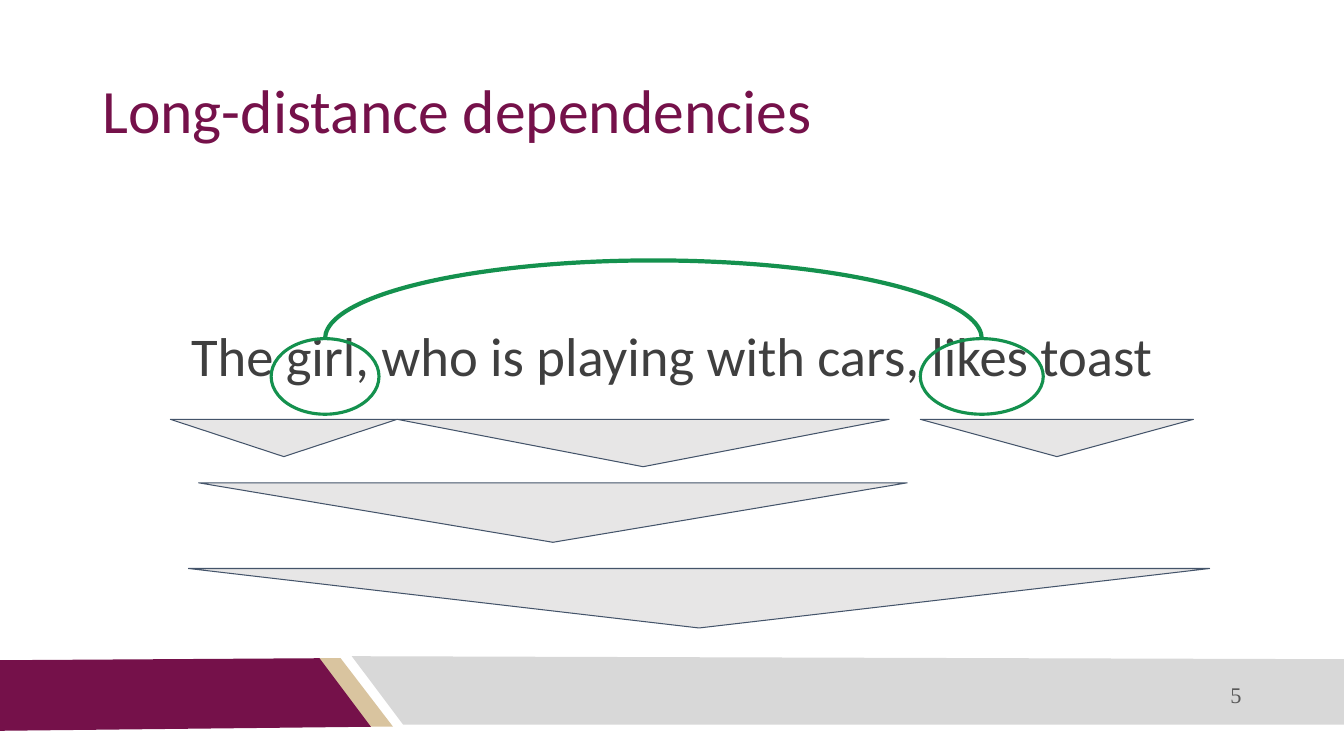
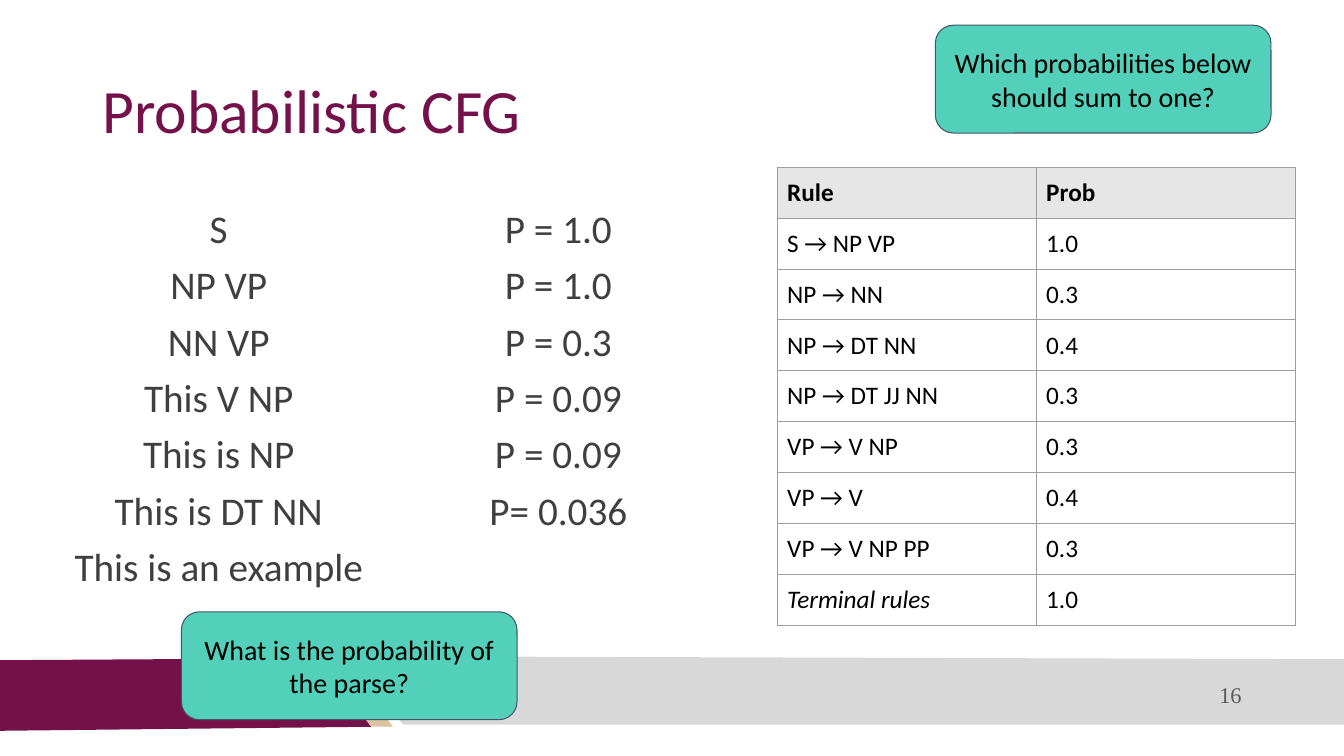
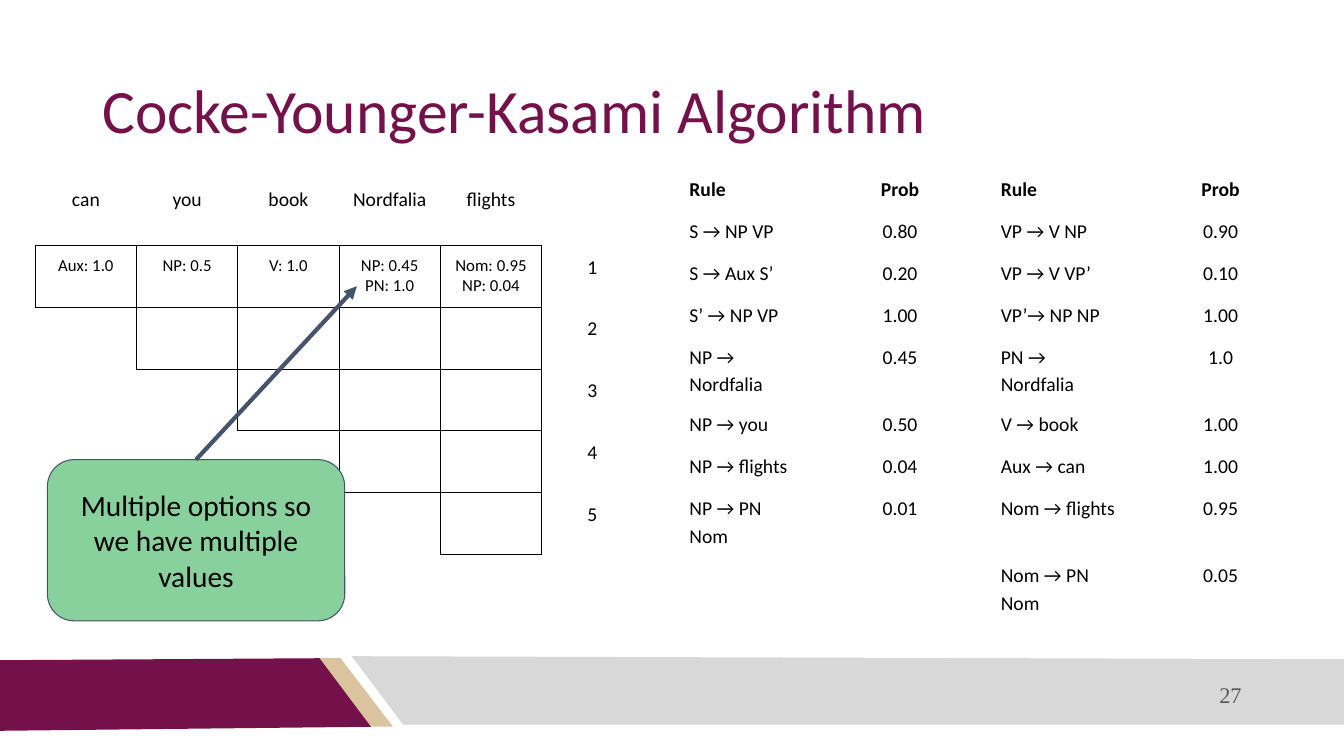
from lxml import etree
from pptx import Presentation
from pptx.dml.color import RGBColor
from pptx.enum.shapes import MSO_CONNECTOR, MSO_SHAPE
from pptx.enum.text import MSO_ANCHOR, PP_ALIGN
from pptx.oxml.ns import qn
from pptx.util import Inches, Pt

LEFT, CENTER, RIGHT = PP_ALIGN.LEFT, PP_ALIGN.CENTER, PP_ALIGN.RIGHT
TOP, MIDDLE = MSO_ANCHOR.TOP, MSO_ANCHOR.MIDDLE
OVAL, ARC = MSO_SHAPE.OVAL, MSO_SHAPE.ARC
TRIANGLE, ROUNDED = MSO_SHAPE.ISOSCELES_TRIANGLE, MSO_SHAPE.ROUNDED_RECTANGLE
STRAIGHT = MSO_CONNECTOR.STRAIGHT

# Grid of square cells: 80 columns by 45 rows
COLS, ROWS = 80, 45
CELL = Inches(1) / 6
INSET = 0.6
NO_STYLE = "{2D5ABB26-0587-4C30-8999-92F81FD0307C}"
SIDES = {"lnL": (0, -1), "lnR": (0, 1), "lnT": (-1, 0), "lnB": (1, 0)}

# Colours
PLUM, SAND, SILVER = "75114A", "D9C49F", "D8D8D8"
BLACK, INK, MUTED = "000000", "3F3F3F", "595959"
SLATE, PALE, RULE = "44546A", "E7E6E6", "9E9E9E"
GREEN, TEAL, MINT = "14914E", "52D0B9", "88D19D"

# Slanted bands at the foot of every slide
BANDS = [
    (SAND, [(18.96, 39.18), (20.28, 39.18), (23.4, 43.26), (22.02, 43.26)]),
    (PLUM, [(0, 39.3), (19.02, 39.18), (22.08, 43.26), (0, 43.5)]),
    (SILVER, [(20.94, 39.06), (COLS, 39.24), (COLS, 43.14), (24, 43.14)]),
]


def rgb(color):
    return RGBColor.from_string(color)


def u(cells):
    """Length of a number of grid cells."""
    return round(cells * CELL)


def write(tf, text, size=18, color=BLACK, font="Calibri", bold=False,
          italic=False, align=LEFT, leading=1.0, before=0):
    """Fill a text frame, one paragraph for each line of text."""
    for i, line in enumerate(text.split("\n")):
        p = tf.add_paragraph() if i else tf.paragraphs[0]
        p.alignment, p.line_spacing = align, leading
        p.space_before = Pt(before if i else 0)
        r = p.add_run()
        r.text = line
        r.font.size, r.font.name = Pt(size), font
        r.font.bold, r.font.italic = bold, italic
        r.font.color.rgb = rgb(color)


def set_margins(target, margins):
    (target.margin_left, target.margin_top,
     target.margin_right, target.margin_bottom) = map(u, margins)


class Deck:
    def __init__(self):
        self.prs = Presentation()
        self.prs.slide_width, self.prs.slide_height = u(COLS), u(ROWS)
        self.s = None

    def slide(self, title, number):
        self.s = self.prs.slides.add_slide(self.prs.slide_layouts[6])
        for color, points in BANDS:
            self.band(color, points)
        self.text(title, 5.5, 2.4, 69, 8.7, anchor=MIDDLE,
                  size=44, color=PLUM, leading=0.9)
        self.text(str(number), 47.5, 40.15, 27, 2.4, anchor=MIDDLE, size=16,
                  color=MUTED, font="Times New Roman", align=RIGHT)

    def band(self, color, points):
        # Freeform points are whole numbers, so they are given in EMU
        corners = [(u(x), u(y)) for x, y in points]
        fb = self.s.shapes.build_freeform(*corners[0])
        fb.add_line_segments(corners[1:], close=True)
        self.paint(fb.convert_to_shape(), color)

    def paint(self, sp, fill=None, line=None, width=0.75):
        sp.shadow.inherit = False
        if fill:
            sp.fill.solid()
            sp.fill.fore_color.rgb = rgb(fill)
        else:
            sp.fill.background()
        if line:
            sp.line.color.rgb = rgb(line)
            sp.line.width = Pt(width)
        else:
            sp.line.fill.background()

    def frame(self, sp, text, anchor, **fmt):
        tf = sp.text_frame
        tf.word_wrap, tf.vertical_anchor = True, anchor
        set_margins(tf, [INSET] * 4)
        write(tf, text, **fmt)

    def text(self, text, x, y, w, h, anchor=TOP, **fmt):
        sp = self.s.shapes.add_textbox(u(x), u(y), u(w), u(h))
        self.frame(sp, text, anchor, **fmt)

    def body(self, text, x, y, w, h, size):
        self.text(text, x, y, w, h, size=size, color=INK, align=CENTER,
                  leading=0.9, before=10)

    def shape(self, kind, x, y, w, h, **style):
        sp = self.s.shapes.add_shape(kind, u(x), u(y), u(w), u(h))
        self.paint(sp, **style)
        return sp

    def callout(self, text, x, y, w, h, fill, size):
        sp = self.shape(ROUNDED, x, y, w, h, fill=fill, line=SLATE)
        self.frame(sp, text, MIDDLE, size=size, align=CENTER)
        return sp

    def arrow_from_top(self, sp, x, y):
        cx = self.s.shapes.add_connector(STRAIGHT, 0, 0, u(x), u(y))
        cx.begin_connect(sp, 0)
        cx.line.color.rgb, cx.line.width = rgb(SLATE), Pt(3)
        etree.SubElement(cx.line._get_or_add_ln(), qn("a:tailEnd"),
                         type="triangle")
        etree.SubElement(cx._element.spPr, qn("a:effectLst"))

    def table(self, data, x, y, widths, heights, fmt, lined,
              line=BLACK, head=None, margins=(INSET,) * 4):
        """fmt(r, c) gives the text format, lined(r, c) says if a cell is boxed."""
        gf = self.s.shapes.add_table(len(data), len(widths), u(x), u(y),
                                     u(sum(widths)), u(sum(heights)))
        tbl = gf.table
        tbl._tbl.tblPr.find(qn("a:tableStyleId")).text = NO_STYLE
        for col, w in zip(tbl.columns, widths):
            col.width = u(w)
        for r, (row, h) in enumerate(zip(data, heights)):
            tbl.rows[r].height = u(h)
            for c, text in enumerate(row):
                cell = tbl.cell(r, c)
                set_margins(cell, margins)
                for side, (dr, dc) in SIDES.items():
                    shown = lined(r, c) or lined(r + dr, c + dc)
                    self.border(cell, side, line if shown else None)
                if head and r == 0:
                    cell.fill.solid()
                    cell.fill.fore_color.rgb = rgb(head)
                else:
                    cell.fill.background()
                if text:
                    write(cell.text_frame, text, **fmt(r, c))

    def border(self, cell, side, color):
        ln = etree.SubElement(cell._tc.get_or_add_tcPr(), qn("a:" + side),
                              w=str(Pt(0.75)))
        if color:
            fill = etree.SubElement(ln, qn("a:solidFill"))
            etree.SubElement(fill, qn("a:srgbClr"), val=color)
        else:
            etree.SubElement(ln, qn("a:noFill"))


def dependencies(d):
    d.slide("Long-distance dependencies", 5)
    d.body("The girl, who is playing with cars, likes toast",
           5.5, 19, 69, 5.64, size=39)

    # Linked words
    words_top, arc_top = 20.16, 15.5
    words = [(16.14, 6.42), (54.78, 7.32)]
    for x, w in words:
        d.shape(OVAL, x, words_top, w, 4.5, line=GREEN, width=2.25)
    start, end = (x + w / 2 for x, w in words)
    arc = d.shape(ARC, start, arc_top, end - start, 2 * (words_top - arc_top),
                  line=GREEN, width=3)
    arc.adjustments[0], arc.adjustments[1] = 108, 0

    # Phrases
    for x, y, w, h in [(23.64, 24.96, 29.28, 2.82), (11.82, 28.74, 42.18, 3.54),
                       (54.78, 24.96, 16.26, 2.22), (10.14, 24.96, 13.5, 2.22),
                       (11.22, 33.84, 60.78, 3.54)]:
        d.shape(TRIANGLE, x, y, w, h, fill=PALE, line=SLATE).rotation = 180


def probabilistic_cfg(d):
    d.slide("Probabilistic CFG", 16)

    # Derivation and its probabilities
    steps = ("S\nNP VP\nNN VP\nThis V NP\nThis is NP\nThis is DT NN\n"
             "This is an example")
    probs = "P = 1.0\nP = 1.0\nP = 0.3\nP = 0.09\nP = 0.09\nP= 0.036"
    for x, text in [(2.64, steps), (22.86, probs)]:
        d.body(text, x, 11.88, 20.76, 25.02, size=28)

    # Grammar
    rules = [("Rule", "Prob"), ("S → NP VP", "1.0"), ("NP → NN", "0.3"),
             ("NP → DT NN", "0.4"), ("NP → DT JJ NN", "0.3"),
             ("VP → V NP", "0.3"), ("VP → V", "0.4"),
             ("VP → V NP PP", "0.3"), ("Terminal rules", "1.0")]
    last = len(rules) - 1
    d.table(rules, 46.26, 9.96, [15.42] * 2, [3.03] * len(rules),
            fmt=lambda r, c: dict(bold=r == 0, italic=(r, c) == (last, 0)),
            lined=lambda r, c: True, line=RULE, head=PALE)

    # Questions
    for text, x, y in [
            ("What is the probability of the parse?", 10.8, 36.42),
            ("Which probabilities below should sum to one?", 55.68, 1.5)]:
        d.callout(text, x, y, 19.98, 6.42, fill=TEAL, size=20)


def cky(d):
    d.slide("Cocke-Younger-Kasami Algorithm", 27)

    # Grammar
    rules = [("Rule", "Prob", "Rule", "Prob"),
             ("S → NP VP", "0.80", "VP → V NP", "0.90"),
             ("S → Aux S’", "0.20", "VP → V VP’", "0.10"),
             ("S’ → NP VP", "1.00", "VP’→ NP NP", "1.00"),
             ("NP → Nordfalia", "0.45", "PN → Nordfalia", "1.0"),
             ("NP → you", "0.50", "V → book", "1.00"),
             ("NP → flights", "0.04", "Aux → can", "1.00"),
             ("NP → PN Nom", "0.01", "Nom → flights", "0.95"),
             ("", "", "Nom → PN Nom", "0.05")]
    two_line_rows = (4, 7, 8)
    d.table(rules, 39.78, 10.02, [11.22, 7.32, 11.58, 7.68],
            [4 if r in two_line_rows else 2.5 for r in range(len(rules))],
            fmt=lambda r, c: dict(size=14, bold=r == 0, leading=1.15,
                                  align=CENTER if c % 2 else LEFT),
            lined=lambda r, c: False, margins=(1.26, 0.36, 3.42, 0.36))

    # Parse chart: boxed on and above the diagonal
    n = 5
    chart = [("can", "you", "book", "Nordfalia", "flights", ""),
             ("Aux: 1.0", "NP: 0.5", "V: 1.0", "NP: 0.45\nPN: 1.0",
              "Nom: 0.95\nNP: 0.04", "1")]
    chart += [("",) * n + (str(i),) for i in range(2, n + 1)]
    d.table(chart, 2.1, 10.56, [6.03] * (n + 1), [4.05] + [3.68] * n,
            fmt=lambda r, c: dict(size=14 if r == 0 or c == n else 12,
                                  align=CENTER),
            lined=lambda r, c: 1 <= r <= n and r - 1 <= c < n)

    # Remark
    remark = d.callout("Multiple options so we have multiple values",
                       2.82, 27.36, 17.7, 9.6, fill=MINT, size=21)
    d.arrow_from_top(remark, 21.24, 17.04)


def main():
    d = Deck()
    dependencies(d)
    probabilistic_cfg(d)
    cky(d)
    d.prs.save("out.pptx")


if __name__ == "__main__":
    main()
